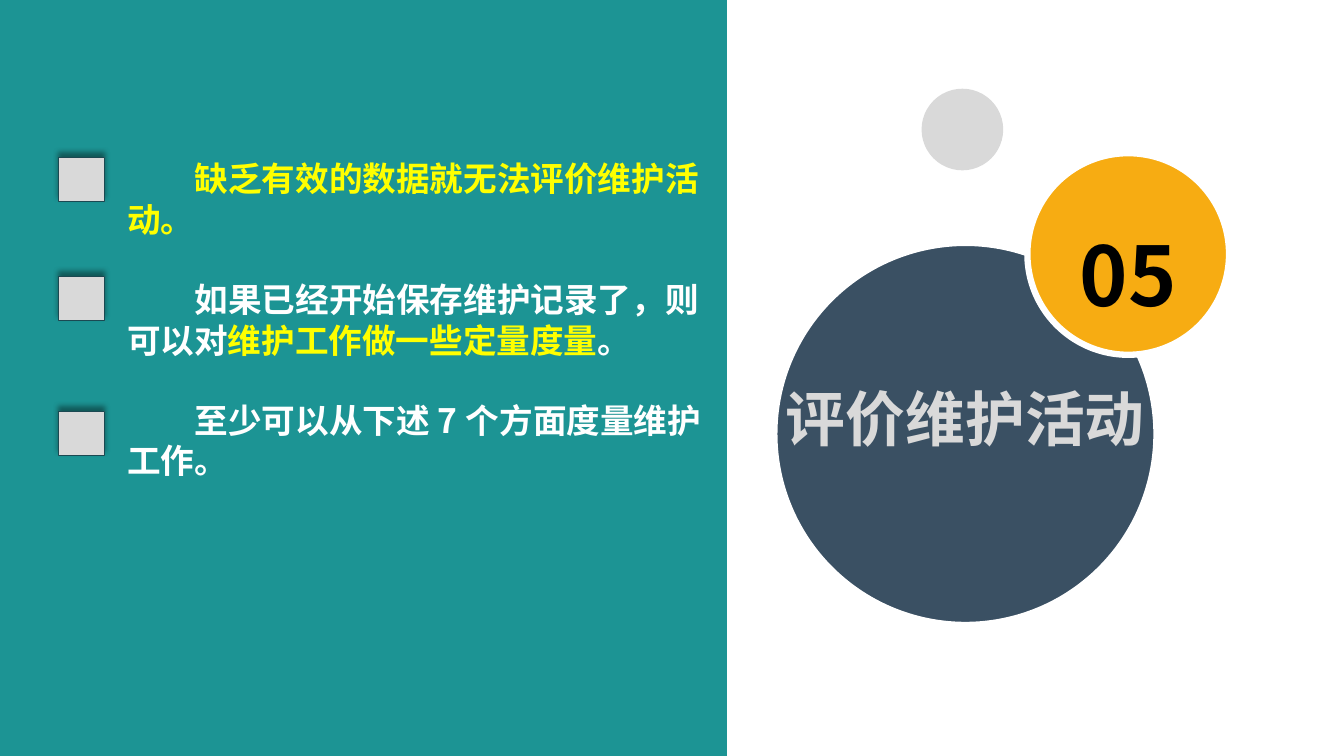
from dataclasses import dataclass

from lxml import etree
from pptx import Presentation
from pptx.dml.color import RGBColor
from pptx.enum import shapes, text
from pptx.oxml import ns
from pptx.util import Inches, Pt

FONT = "Noto Sans CJK SC"
TEAL, NAVY, AMBER, GREY = "1C9494", "3A5063", "F7AC12", "D9D9D9"
WHITE, BLACK, YELLOW, EDGE = "FFFFFF", "000000", "FFFF00", "1B4952"
OVAL = shapes.MSO_SHAPE.OVAL
RECTANGLE = shapes.MSO_SHAPE.RECTANGLE


@dataclass
class Figure:
    kind: shapes.MSO_SHAPE
    left: float
    top: float
    width: float
    height: float
    fill: str
    line: str = ""
    weight: float = 0


@dataclass
class Span:
    words: str
    color: str


PANEL = Figure(RECTANGLE, 0, 0, 7.21, 7.5, TEAL)
SMALL_CIRCLE = Figure(OVAL, 9.14, 0.88, 0.81, 0.81, GREY)
TITLE_CIRCLE = Figure(OVAL, 7.68, 2.41, 3.79, 3.79, NAVY, WHITE, 4.5)
NUMBER_CIRCLE = Figure(OVAL, 10.19, 1.52, 2, 2, AMBER, WHITE, 4.5)
MARKERS = [Figure(RECTANGLE, 0.58, top, 0.46, 0.44, GREY, EDGE, 0.75)
           for top in (1.56, 2.74, 4.08)]
POINTS = [
    [Span("缺乏有效的数据就无法评价维护活动。", YELLOW)],
    [Span("如果已经开始保存维护记录了，则可以对", WHITE),
     Span("维护工作做一些定量度量", YELLOW),
     Span("。", WHITE)],
    [Span("至少可以从下述7个方面度量维护工作。", WHITE)],
]


def rgb(color: str) -> RGBColor:
    return RGBColor.from_string(color)


def draw(page, figure: Figure):
    shape = page.shapes.add_shape(
        figure.kind, Inches(figure.left), Inches(figure.top),
        Inches(figure.width), Inches(figure.height))
    shape.shadow.inherit = False
    shape.fill.solid()
    shape.fill.fore_color.rgb = rgb(figure.fill)
    if figure.line:
        shape.line.color.rgb = rgb(figure.line)
        shape.line.width = Pt(figure.weight)
    else:
        shape.line.fill.background()
    return shape


def add_upward_shadow(shape) -> None:
    effects = shape.element.spPr.find(ns.qn("a:effectLst"))
    shadow = etree.SubElement(
        effects, ns.qn("a:outerShdw"), blurRad=str(Pt(4)), dist=str(Pt(3)),
        dir=str(270 * 60000), algn="b", rotWithShape="0")
    color = etree.SubElement(shadow, ns.qn("a:srgbClr"), val=BLACK)
    etree.SubElement(color, ns.qn("a:alpha"), val="40000")


def place(box, left: float, top: float, width: float, height: float,
          inset_x: float, inset_y: float, anchor=text.MSO_ANCHOR.TOP):
    """Position a text holder and set up its frame, which is returned."""
    box.left, box.top = Inches(left), Inches(top)
    box.width, box.height = Inches(width), Inches(height)
    frame = box.text_frame
    frame.word_wrap = True
    frame.auto_size = text.MSO_AUTO_SIZE.SHAPE_TO_FIT_TEXT
    frame.vertical_anchor = anchor
    frame.margin_left = frame.margin_right = Inches(inset_x)
    frame.margin_top = frame.margin_bottom = Inches(inset_y)
    return frame


def write(para, spans: list[Span], size: float) -> None:
    for span in spans:
        run = para.add_run()
        run.text = span.words
        font = run.font
        font.name, font.size, font.bold = FONT, Pt(size), True
        font.color.rgb = rgb(span.color)
        etree.SubElement(run._r.get_or_add_rPr(), ns.qn("a:ea"), typeface=FONT)


def add_text_box(page):
    return page.shapes.add_textbox(0, 0, Inches(1), Inches(1))


def add_title(page) -> None:
    title = page.shapes.title
    title.element.getparent().append(title.element)  # above its circle
    frame = place(title, 7.68, 3.72, 3.79, 0.85, 0.07, 0.07)
    para = frame.paragraphs[0]
    para.alignment = text.PP_ALIGN.CENTER
    write(para, [Span("评价维护活动", GREY)], 42.7)


def add_number(page) -> None:
    frame = place(add_text_box(page), 10.66, 1.9, 1.06, 1.23, 0, 0,
                  text.MSO_ANCHOR.MIDDLE)
    para = frame.paragraphs[0]
    para.alignment = text.PP_ALIGN.CENTER
    para.line_spacing = 1.4
    write(para, [Span("05", BLACK)], 58.7)


def add_points(page) -> None:
    frame = place(add_text_box(page), 1.19, 1.52, 6.01, 3.33, 0.07, 0.05)
    for index, spans in enumerate(POINTS):
        para = frame.add_paragraph() if index else frame.paragraphs[0]
        if index:
            para.space_before = Pt(28.8)
        para._p.get_or_add_pPr().set("indent", str(Inches(0.67)))
        write(para, spans, 24)


def main() -> None:
    deck = Presentation()
    deck.slide_width, deck.slide_height = Inches(13.33), Inches(7.5)
    page = deck.slides.add_slide(deck.slide_layouts.get_by_name("Title Only"))
    for figure in (PANEL, SMALL_CIRCLE, TITLE_CIRCLE):
        draw(page, figure)
    add_title(page)
    draw(page, NUMBER_CIRCLE)
    add_number(page)
    add_points(page)
    for marker in MARKERS:
        add_upward_shadow(draw(page, marker))
    deck.save("out.pptx")


if __name__ == "__main__":
    main()
